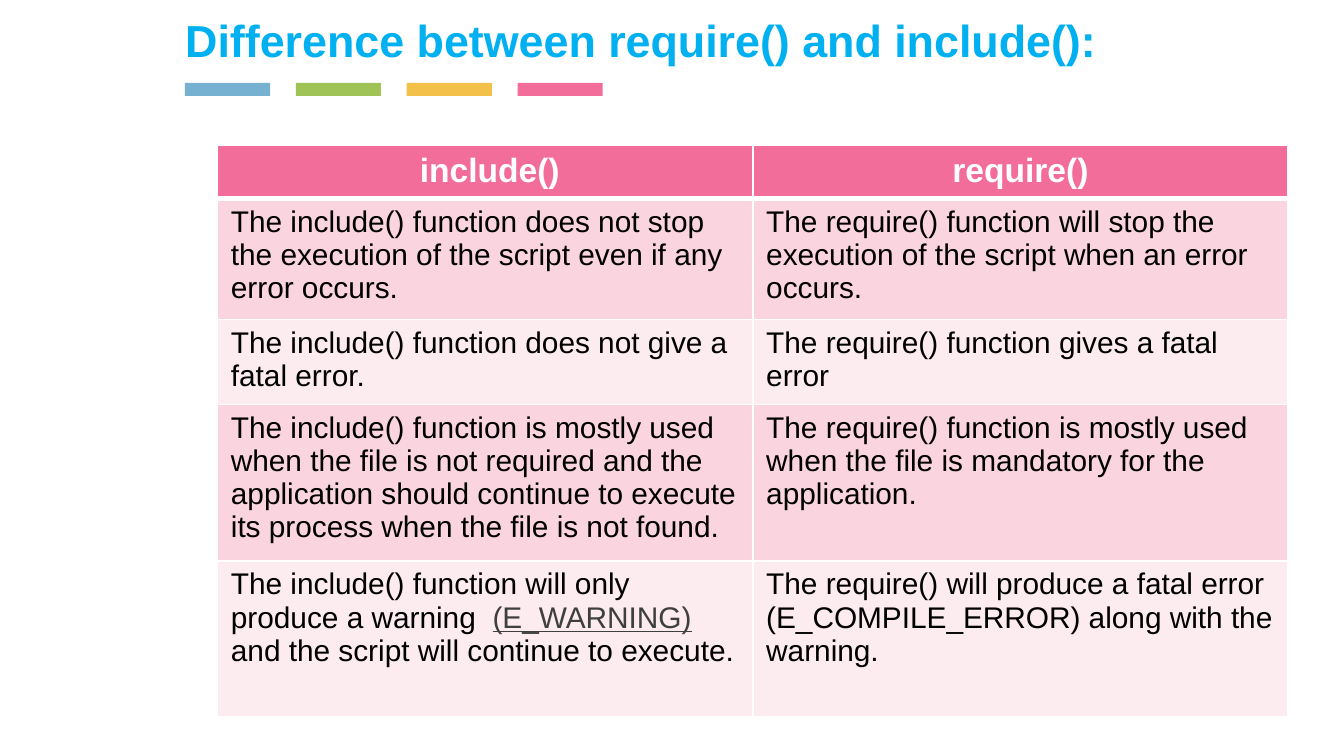
from lxml.etree import SubElement
from pptx import Presentation
from pptx.dml.color import RGBColor
from pptx.enum.shapes import MSO_SHAPE
from pptx.enum.text import MSO_ANCHOR, PP_ALIGN
from pptx.oxml.ns import qn
from pptx.util import Pt

CYAN = RGBColor(0x00, 0xB0, 0xF0)
BLUE = RGBColor(0x76, 0xB1, 0xD1)
GREEN = RGBColor(0xA0, 0xC3, 0x58)
YELLOW = RGBColor(0xF3, 0xC0, 0x4A)
PINK = RGBColor(0xF2, 0x6D, 0x9A)
PINK_MID = RGBColor(0xFA, 0xD4, 0xDE)
PINK_PALE = RGBColor(0xFC, 0xEB, 0xEF)
WHITE = RGBColor(0xFF, 0xFF, 0xFF)
BLACK = RGBColor(0x00, 0x00, 0x00)
GREY = RGBColor(0x3F, 0x3F, 0x3F)

HEADER = {"name": "Arial", "size": Pt(18), "bold": True, "color": WHITE}
BODY = {"name": "Arial", "size": Pt(16), "bold": False, "color": BLACK}
LINK = {**BODY, "color": GREY, "underline": True}
TITLE = {"name": "Arial", "size": Pt(24), "bold": True, "color": CYAN}

# Each cell is a list of text runs; every second run is underlined.
ROWS = [
    (28.4, [" include()"], ["require()"]),
    (64.8,
     ["The include() function does not stop the execution of the script even if any error occurs."],
     ["The require() function will stop the execution of the script when an error occurs."]),
    (45.5,
     ["The include() function does not give a fatal error."],
     ["The require() function gives a fatal error"]),
    (84,
     ["The include() function is mostly used when the file is not required and the "
      "application should continue to execute its process when the file is not found."],
     ["The require() function is mostly used when the file is mandatory for the application."]),
    (83.5,
     ["The include() function will only produce a warning  ", "(E_WARNING)",
      " and the script will continue to execute."],
     ["The require() will produce a fatal error (E_COMPILE_ERROR) along with the warning."]),
]


def add_run(p, text, fmt):
    r = p.add_run()
    r.text = text
    for key, value in fmt.items():
        if key == "color":
            r.font.color.rgb = value
        else:
            setattr(r.font, key, value)


def add_borders(cell, widths):
    """Draw white borders; widths maps a side (L, R, T, B) to points."""
    tcPr = cell._tc.get_or_add_tcPr()
    for side, width in widths.items():
        ln = SubElement(tcPr, qn(f"a:ln{side}"), w=str(Pt(width)))
        fill = SubElement(ln, qn("a:solidFill"))
        SubElement(fill, qn("a:srgbClr"), val=str(WHITE))


prs = Presentation()
prs.slide_width, prs.slide_height = Pt(720), Pt(405)
s = prs.slides.add_slide(prs.slide_layouts[5])

# Title
title = s.shapes.title
title.left, title.top, title.width, title.height = Pt(92), Pt(-9.3), Pt(544), Pt(61)
tf = title.text_frame
tf.vertical_anchor = MSO_ANCHOR.MIDDLE
p = tf.paragraphs[0]
p.alignment = PP_ALIGN.LEFT
add_run(p, "Difference between require() and include():", TITLE)

# Colour bars under the title
for i, color in enumerate([BLUE, GREEN, YELLOW, PINK]):
    bar = s.shapes.add_shape(MSO_SHAPE.RECTANGLE, Pt(99.1 + 59.4 * i), Pt(44.4), Pt(45.6), Pt(7.1))
    bar.shadow.inherit = False
    bar.fill.solid()
    bar.fill.fore_color.rgb = color
    bar.line.fill.background()

# Comparison table
table = s.shapes.add_table(len(ROWS), 2, Pt(116.5), Pt(78), Pt(573.6), Pt(306.2)).table
for column in table.columns:
    column.width = Pt(286.8)
for i, (height, *cells) in enumerate(ROWS):
    table.rows[i].height = Pt(height)
    for j, texts in enumerate(cells):
        cell = table.cell(i, j)
        add_borders(cell, {"L": 1, "R": 1, "T": 3 if i == 1 else 1, "B": 3 if i == 0 else 1})
        cell.fill.solid()
        cell.fill.fore_color.rgb = PINK if i == 0 else PINK_MID if i % 2 else PINK_PALE
        p = cell.text_frame.paragraphs[0]
        p.alignment = PP_ALIGN.LEFT if i else PP_ALIGN.CENTER
        for k, text in enumerate(texts):
            add_run(p, text, HEADER if i == 0 else LINK if k % 2 else BODY)

prs.save("out.pptx")
